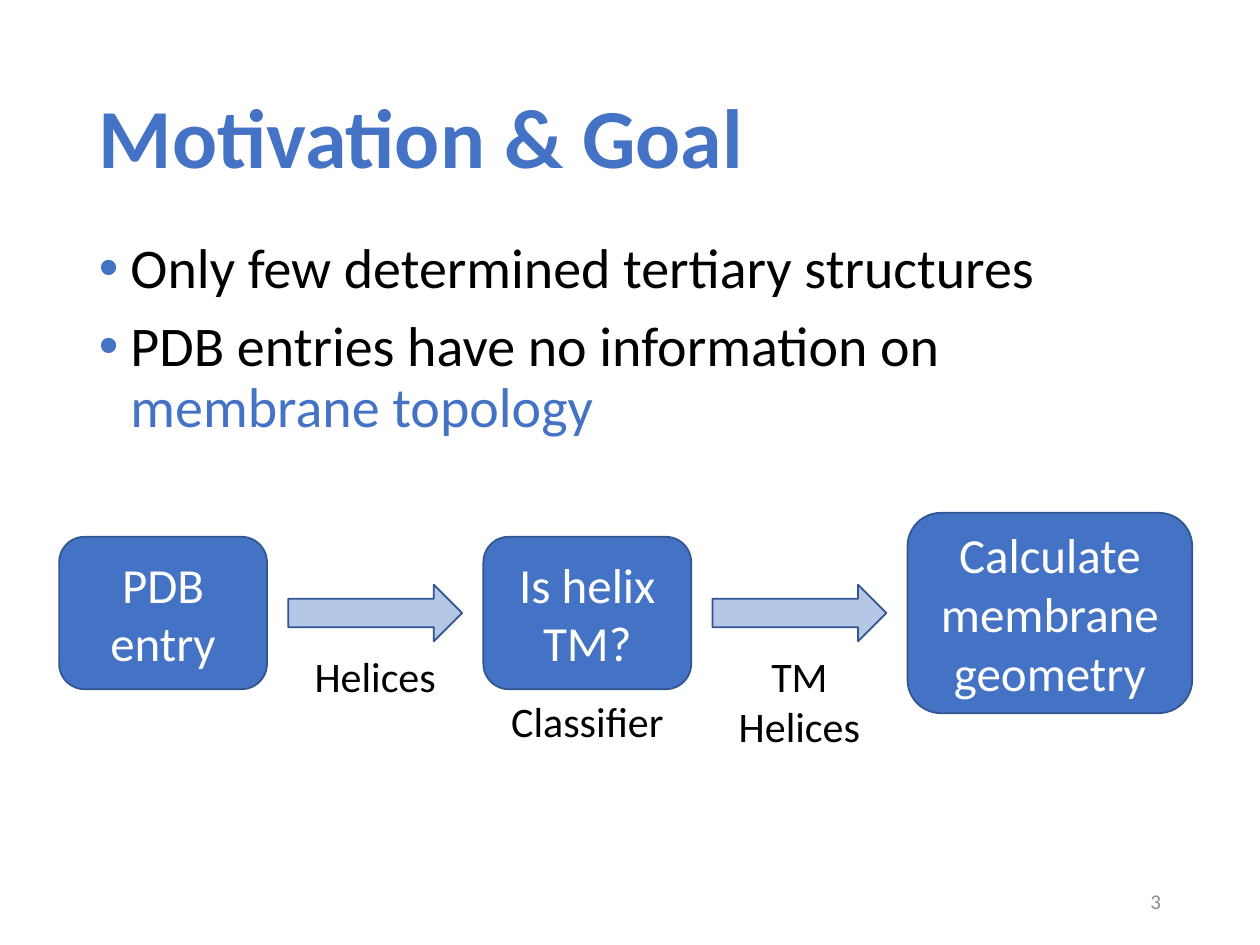
from lxml.etree import SubElement
from pptx import Presentation
from pptx.dml.color import RGBColor
from pptx.enum.shapes import MSO_SHAPE
from pptx.enum.text import MSO_ANCHOR, PP_ALIGN
from pptx.oxml.ns import qn
from pptx.util import Pt

COLORS = {
    "accent": "4472C4",
    "outline": "325491",
    "arrow": "B4C7E7",
    "black": "000000",
    "white": "FFFFFF",
    "gray": "8C8C8C",
}
FONT = "Calibri"

TITLE = "Motivation & Goal"
BULLETS = [
    [("Only few determined tertiary structures", "black")],
    [("PDB entries have no information on", "black"), ("membrane topology", "accent")],
]
PAGE_NUMBER = "3"

FLOW = [
    {"kind": "box", "lines": ["PDB", "entry"], "size": (118.8, 87.1)},
    {"kind": "arrow", "caption": ["Helices"], "size": (99.4, 32.4)},
    {"kind": "box", "lines": ["Is helix TM?"], "caption": ["Classifier"], "size": (118.8, 87.1)},
    {"kind": "arrow", "caption": ["TM", "Helices"], "size": (99.4, 32.4)},
    {"kind": "box", "lines": ["Calculate membrane geometry"], "size": (162.7, 114.5)},
]
FLOW_LEFT, FLOW_MIDDLE, FLOW_GAP = 33.8, 350.3, 12.1
CAPTION_GAP = {"box": 0, "arrow": 1.4}
CAPTION_LINE = 29.3
CAPTION_PADDING = 7.2


def color(name):
    return RGBColor.from_string(COLORS[name])


def style(paragraph, size, color_name=None, align=PP_ALIGN.LEFT, bold=False):
    paragraph.alignment = align
    font = paragraph.font
    font.name, font.size, font.bold = FONT, Pt(size), bold
    if color_name:
        font.color.rgb = color(color_name)


def write(shape, lines, size, color_name, align=PP_ALIGN.CENTER, anchor=MSO_ANCHOR.MIDDLE, bold=False):
    frame = shape.text_frame
    frame.word_wrap = True
    frame.vertical_anchor = anchor
    frame.text = "\n".join(lines)
    for paragraph in frame.paragraphs:
        style(paragraph, size, color_name, align, bold)


def add_text_box(slide, left, top, width, height):
    return slide.shapes.add_textbox(Pt(left), Pt(top), Pt(width), Pt(height))


def add_bullet(paragraph):
    properties = paragraph._p.get_or_add_pPr()
    properties.set("marL", str(Pt(18)))
    properties.set("indent", str(-Pt(18)))
    bullet_color = SubElement(properties, qn("a:buClr"))
    SubElement(bullet_color, qn("a:srgbClr")).set("val", COLORS["accent"])
    SubElement(properties, qn("a:buFont")).set("typeface", "Arial")
    SubElement(properties, qn("a:buChar")).set("char", "•")


def add_bullets(slide):
    frame = add_text_box(slide, 49.5, 133.9, 621, 136).text_frame
    frame.word_wrap = True
    for index, lines in enumerate(BULLETS):
        paragraph = frame.add_paragraph() if index else frame.paragraphs[0]
        add_bullet(paragraph)
        paragraph.line_spacing = 0.9
        paragraph.space_before = Pt(10 if index else 0)
        style(paragraph, 32)
        for position, (text, color_name) in enumerate(lines):
            if position:
                paragraph.add_line_break()
            run = paragraph.add_run()
            run.text = text
            run.font.color.rgb = color(color_name)


def add_flow(slide):
    left = FLOW_LEFT
    for step in FLOW:
        kind = step["kind"]
        width, height = step["size"]
        preset = MSO_SHAPE.ROUNDED_RECTANGLE if kind == "box" else MSO_SHAPE.RIGHT_ARROW
        top = FLOW_MIDDLE - height / 2
        shape = slide.shapes.add_shape(preset, Pt(left), Pt(top), Pt(width), Pt(height))
        shape.shadow.inherit = False
        shape.fill.solid()
        shape.fill.fore_color.rgb = color("accent" if kind == "box" else "arrow")
        shape.line.color.rgb = color("outline")
        shape.line.width = Pt(1)
        if "lines" in step:
            write(shape, step["lines"], 28, "white")
        if "caption" in step:
            caption_height = CAPTION_LINE * len(step["caption"]) + CAPTION_PADDING
            caption = add_text_box(slide, left, top + height + CAPTION_GAP[kind], width, caption_height)
            write(caption, step["caption"], 24, "black", anchor=MSO_ANCHOR.TOP)
        left += width + FLOW_GAP


def main():
    presentation = Presentation()
    presentation.slide_width, presentation.slide_height = Pt(720), Pt(540)
    slide = presentation.slides.add_slide(presentation.slide_layouts[6])
    title = add_text_box(slide, 49.5, 28.8, 621, 104.4)
    write(title, [TITLE], 48, "accent", PP_ALIGN.LEFT, bold=True)
    title.text_frame.paragraphs[0].line_spacing = 0.9
    add_bullets(slide)
    add_flow(slide)
    number = add_text_box(slide, 508.5, 500.5, 162, 28.8)
    write(number, [PAGE_NUMBER], 12, "gray", PP_ALIGN.RIGHT)
    presentation.save("out.pptx")


if __name__ == "__main__":
    main()
